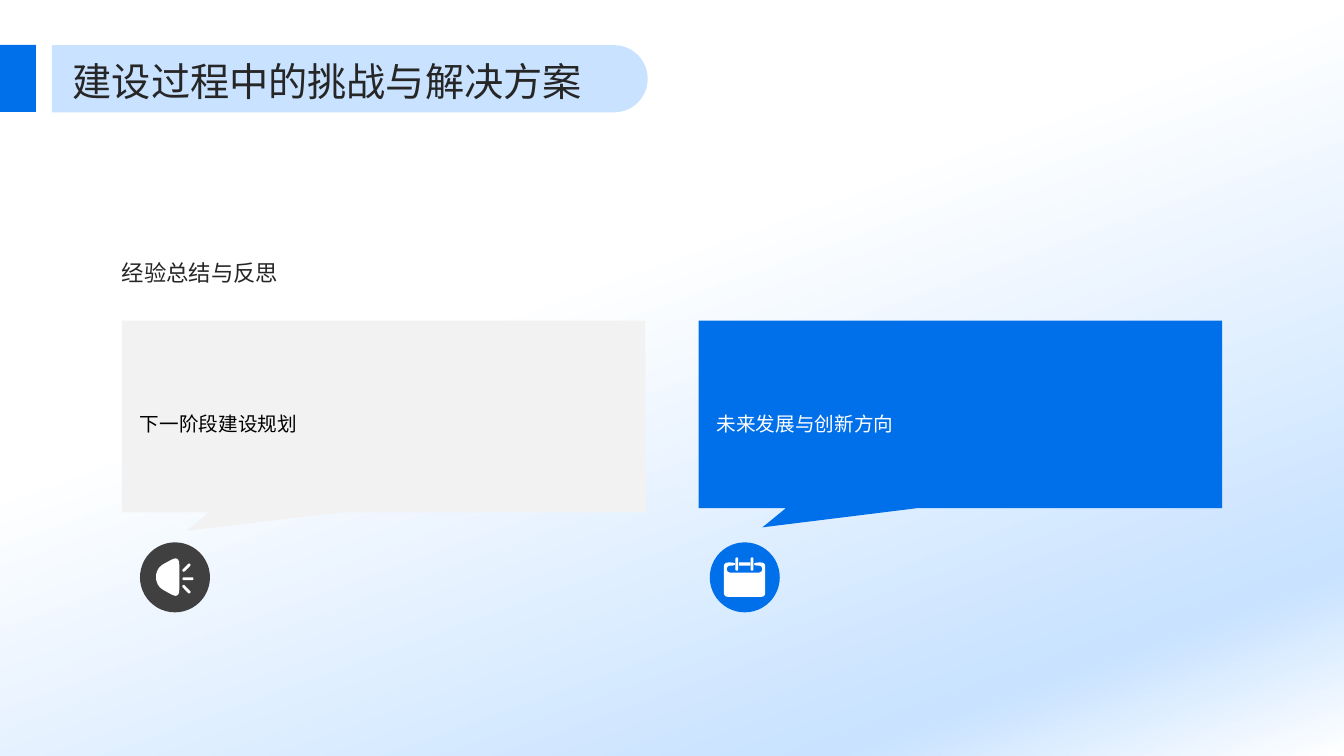
from math import hypot

from lxml.etree import SubElement
from pptx import Presentation
from pptx.dml.color import RGBColor
from pptx.enum.shapes import MSO_SHAPE
from pptx.enum.text import MSO_ANCHOR
from pptx.oxml.ns import qn
from pptx.util import Pt

BLUE, PALE_BLUE, WHITE, INK = "006FEA", "C8E2FF", "FFFFFF", "262626"
FONT = "Noto Sans CJK SC"


def color(value):
    return RGBColor.from_string(value)


def rounded(corners, radius, steps=6):
    outline = []
    for i, (x, y) in enumerate(corners):
        ends = []
        for nx, ny in (corners[i - 1], corners[(i + 1) % len(corners)]):
            length = hypot(nx - x, ny - y)
            cut = min(radius / length, 0.5)
            ends.append((x + (nx - x) * cut, y + (ny - y) * cut))
        (ax, ay), (bx, by) = ends
        for step in range(steps + 1):
            t = step / steps
            a, c, b = (1 - t) ** 2, 2 * t * (1 - t), t ** 2
            outline.append((a * ax + c * x + b * bx, a * ay + c * y + b * by))
    return outline


def bar(x1, y1, x2, y2, width=2):
    length = hypot(x2 - x1, y2 - y1)
    dx = (y1 - y2) / length * width / 2
    dy = (x2 - x1) / length * width / 2
    return rounded([(x1 + dx, y1 + dy), (x2 + dx, y2 + dy),
                    (x2 - dx, y2 - dy), (x1 - dx, y1 - dy)], width / 2)


class SlideBuilder:
    def __init__(self, slide):
        self.shapes = slide.shapes

    def shape(self, kind, left, top, width, height, fill, adjustments=(), rotation=0):
        shape = self.shapes.add_shape(kind, Pt(left), Pt(top), Pt(width), Pt(height))
        for i, value in enumerate(adjustments):
            shape.adjustments[i] = value
        shape.rotation = rotation
        return self.paint(shape, fill)

    def paint(self, shape, fill):
        shape.shadow.inherit = False
        shape.fill.solid()
        shape.fill.fore_color.rgb = color(fill)
        shape.line.fill.background()
        return shape

    def backdrop(self, width, height, stops, angle):
        backdrop = self.shape(MSO_SHAPE.RECTANGLE, 0, 0, width, height, WHITE)
        backdrop.fill.gradient()
        gradient = backdrop.fill._xPr.find(qn("a:gradFill"))
        for child in list(gradient):
            gradient.remove(child)
        stop_list = SubElement(gradient, qn("a:gsLst"))
        for percent, value in stops:
            stop = SubElement(stop_list, qn("a:gs"), pos=str(percent * 1000))
            SubElement(stop, qn("a:srgbClr"), val=value)
        SubElement(gradient, qn("a:lin"), ang=str(angle * 60000), scaled="0")

    def text(self, words, left, top, width, height, size, ink, spacing=1.5,
             anchor=MSO_ANCHOR.MIDDLE):
        frame = self.shapes.add_textbox(Pt(left), Pt(top), Pt(width), Pt(height)).text_frame
        frame.word_wrap = True
        frame.vertical_anchor = anchor
        frame.margin_left = frame.margin_right = frame.margin_top = frame.margin_bottom = 0
        paragraph = frame.paragraphs[0]
        paragraph.line_spacing = spacing
        run = paragraph.add_run()
        run.text = words
        run.font.size = Pt(size)
        run.font.color.rgb = color(ink)
        run.font.name = FONT
        SubElement(run.font._element, qn("a:ea"), typeface=FONT)

    def icon(self, left, top, disc_fill, outlines):
        self.shape(MSO_SHAPE.ROUNDED_RECTANGLE, left, top, 50, 50, disc_fill, [0.5])
        placed = [[(Pt(left + x), Pt(top + y)) for x, y in outline] for outline in outlines]
        builder = self.shapes.build_freeform(*placed[0][0])
        for i, outline in enumerate(placed):
            if i:
                builder.move_to(*outline[0])
            builder.add_line_segments(outline[1:], close=True)
        self.paint(builder.convert_to_shape(), WHITE)


def main():
    presentation = Presentation()
    presentation.slide_width, presentation.slide_height = Pt(960), Pt(540)
    slide = SlideBuilder(presentation.slides.add_slide(presentation.slide_layouts[6]))

    slide.backdrop(960, 540, [(1, WHITE), (39, WHITE), (85, PALE_BLUE), (100, WHITE)], 70)

    megaphone = [
        rounded([(11.5, 18.4), (28.1, 9.4), (28.1, 40.3), (11.5, 31.2)], 6.5),
        bar(30.4, 26, 38.2, 26),
        bar(30.6, 20.7, 35.8, 15.5),
        bar(30.6, 30.8, 35.8, 36.2),
    ]
    calendar = [
        rounded([(18, 14.4), (18, 16.6), (12.2, 16.6), (12.2, 21.6), (37.4, 21.6),
                 (37.4, 16.6), (31.7, 16.6), (31.7, 14.4), (39.6, 14.4),
                 (39.6, 38.9), (10.1, 38.9), (10.1, 14.4)], 3),
        [(20.9, 14.4), (28.8, 14.4), (28.8, 16.6), (20.9, 16.6)],
        bar(19.3, 10.8, 19.3, 20.2),
        bar(30.2, 10.8, 30.2, 20.2),
    ]
    plans = [
        ("下一阶段建设规划", 87, 137, (-0.376, 0.596), "F2F2F2", "000000",
         100, "404040", megaphone),
        ("未来发展与创新方向", 499, 134, (-0.378, 0.602), BLUE, WHITE,
         507, BLUE, calendar),
    ]
    for words, left, height, tail, fill, ink, disc_left, disc_fill, outlines in plans:
        slide.shape(MSO_SHAPE.RECTANGULAR_CALLOUT, left, 229, 374, height, fill, tail)
        slide.text(words, left + 13, 243.5, 348.5, 110, 14, ink)
        slide.icon(disc_left, 387.4, disc_fill, outlines)

    slide.text("经验总结与反思", 87, 109.5, 786, 95, 16, INK, anchor=MSO_ANCHOR.BOTTOM)

    slide.shape(MSO_SHAPE.RECTANGLE, 0, 32, 25.7, 48, BLUE)
    slide.shape(MSO_SHAPE.ROUND_2_SAME_RECTANGLE, 225.9, -156.5, 48, 425.5, PALE_BLUE,
                (0.5, 0), rotation=90)
    slide.text("建设过程中的挑战与解决方案", 52, 37.5, 855, 37, 28, INK, spacing=1.1)

    presentation.save("out.pptx")


if __name__ == "__main__":
    main()
